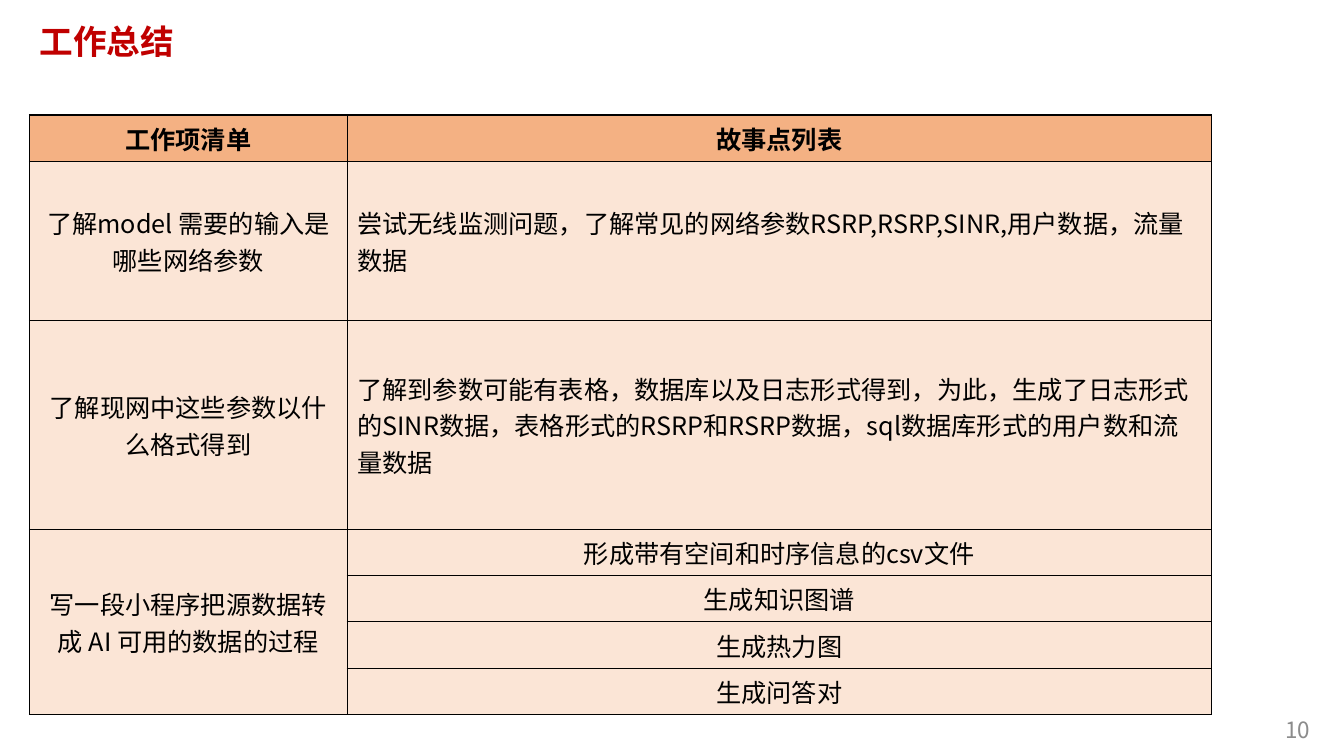
from lxml.etree import SubElement
from pptx import Presentation
from pptx.dml.color import RGBColor
from pptx.enum.text import MSO_ANCHOR, PP_ALIGN
from pptx.oxml.ns import qn
from pptx.util import Inches, Pt

TITLE_RED = RGBColor(0xC0, 0x00, 0x00)
PAGE_GREY = RGBColor(0x8C, 0x8C, 0x8C)
INK = RGBColor(0x00, 0x00, 0x00)
HEADER_ORANGE = RGBColor(0xF4, 0xB1, 0x83)
BODY_PEACH = RGBColor(0xFB, 0xE5, 0xD6)

# Column widths and row heights of the table, in inches
COLUMNS = [3.15, 8.57]
LINE_ROW = 0.46
ROWS = [LINE_ROW, 1.58, 2.07] + [LINE_ROW] * 4

HEADINGS = ("工作项清单", "故事点列表")
# Each work item with its story points and their alignment
WORK_ITEMS = [
    ("了解model 需要的输入是哪些网络参数", PP_ALIGN.LEFT,
     ["尝试无线监测问题，了解常见的网络参数RSRP,RSRP,SINR,用户数据，流量数据"]),
    ("了解现网中这些参数以什么格式得到", PP_ALIGN.LEFT,
     ["了解到参数可能有表格，数据库以及日志形式得到，为此，生成了日志形式的SINR数据，"
      "表格形式的RSRP和RSRP数据，sql数据库形式的用户数和流量数据"]),
    ("写一段小程序把源数据转成 AI 可用的数据的过程", PP_ALIGN.CENTER,
     ["形成带有空间和时序信息的csv文件", "生成知识图谱", "生成热力图", "生成问答对"]),
]


class SummarySlide:
    FONT = "Noto Sans CJK SC"

    def __init__(self, deck):
        self.width, self.height = deck.slide_width, deck.slide_height
        self.slide = deck.slides.add_slide(deck.slide_layouts[6])

    def place(self, left, top):
        """Turn shares of the slide's size into lengths."""
        return int(left * self.width), int(top * self.height)

    def paragraph(self, frame, words, size, colour, bold=False, align=PP_ALIGN.LEFT):
        paragraph = frame.paragraphs[0]
        paragraph.text = words
        paragraph.alignment = align
        font = paragraph.font
        font.size, font.bold, font.name = Pt(size), bold, self.FONT
        font.color.rgb = colour
        defaults = paragraph._p.pPr.find(qn("a:defRPr"))
        SubElement(defaults, qn("a:ea"), typeface=self.FONT)
        return paragraph

    def text(self, words, corner, extent, size, colour, bold=False):
        box = self.slide.shapes.add_textbox(*self.place(*corner), *self.place(*extent))
        frame = box.text_frame
        frame.word_wrap = True
        frame.vertical_anchor = MSO_ANCHOR.MIDDLE
        return self.paragraph(frame, words, size, colour, bold)

    def table(self, corner, columns, rows):
        grid = self.slide.shapes.add_table(
            len(rows), len(columns), *self.place(*corner),
            Inches(sum(columns)), Inches(sum(rows))).table
        for column, width in zip(grid.columns, columns):
            column.width = Inches(width)
        for row, height in zip(grid.rows, rows):
            row.height = Inches(height)
        for cell in grid.iter_cells():
            self.border(cell)
            cell.fill.solid()
            cell.fill.fore_color.rgb = BODY_PEACH
        return grid

    def border(self, cell):
        properties = cell._tc.get_or_add_tcPr()
        for side in ("lnL", "lnR", "lnT", "lnB"):
            line = SubElement(properties, qn(f"a:{side}"), w=str(Pt(1)))
            fill = SubElement(line, qn("a:solidFill"))
            SubElement(fill, qn("a:srgbClr"), val=str(INK))

    def cell(self, cell, words, align=PP_ALIGN.CENTER, bold=False):
        cell.vertical_anchor = MSO_ANCHOR.MIDDLE
        self.paragraph(cell.text_frame, words, 18, INK, bold, align)


def main():
    deck = Presentation()
    deck.slide_width, deck.slide_height = Inches(13.33), Inches(7.5)
    summary = SummarySlide(deck)

    # Title and page number
    title = summary.text("工作总结", (0.022, 0.01), (0.12, 0.095), 24, TITLE_RED, bold=True)
    title.line_spacing = 0.9
    summary.text("10", (0.949, 0.94), (0.036, 0.05), 16, PAGE_GREY)

    # Table header
    work_table = summary.table((0.022, 0.152), COLUMNS, ROWS)
    for column, heading in enumerate(HEADINGS):
        header = work_table.cell(0, column)
        header.fill.fore_color.rgb = HEADER_ORANGE
        summary.cell(header, heading, bold=True)

    # Work items, each spanning its story points
    row = 1
    for item, align, stories in WORK_ITEMS:
        item_cell = work_table.cell(row, 0)
        if len(stories) > 1:
            item_cell.merge(work_table.cell(row + len(stories) - 1, 0))
        summary.cell(item_cell, item)
        for story in stories:
            summary.cell(work_table.cell(row, 1), story, align)
            row += 1

    deck.save("out.pptx")


if __name__ == "__main__":
    main()
